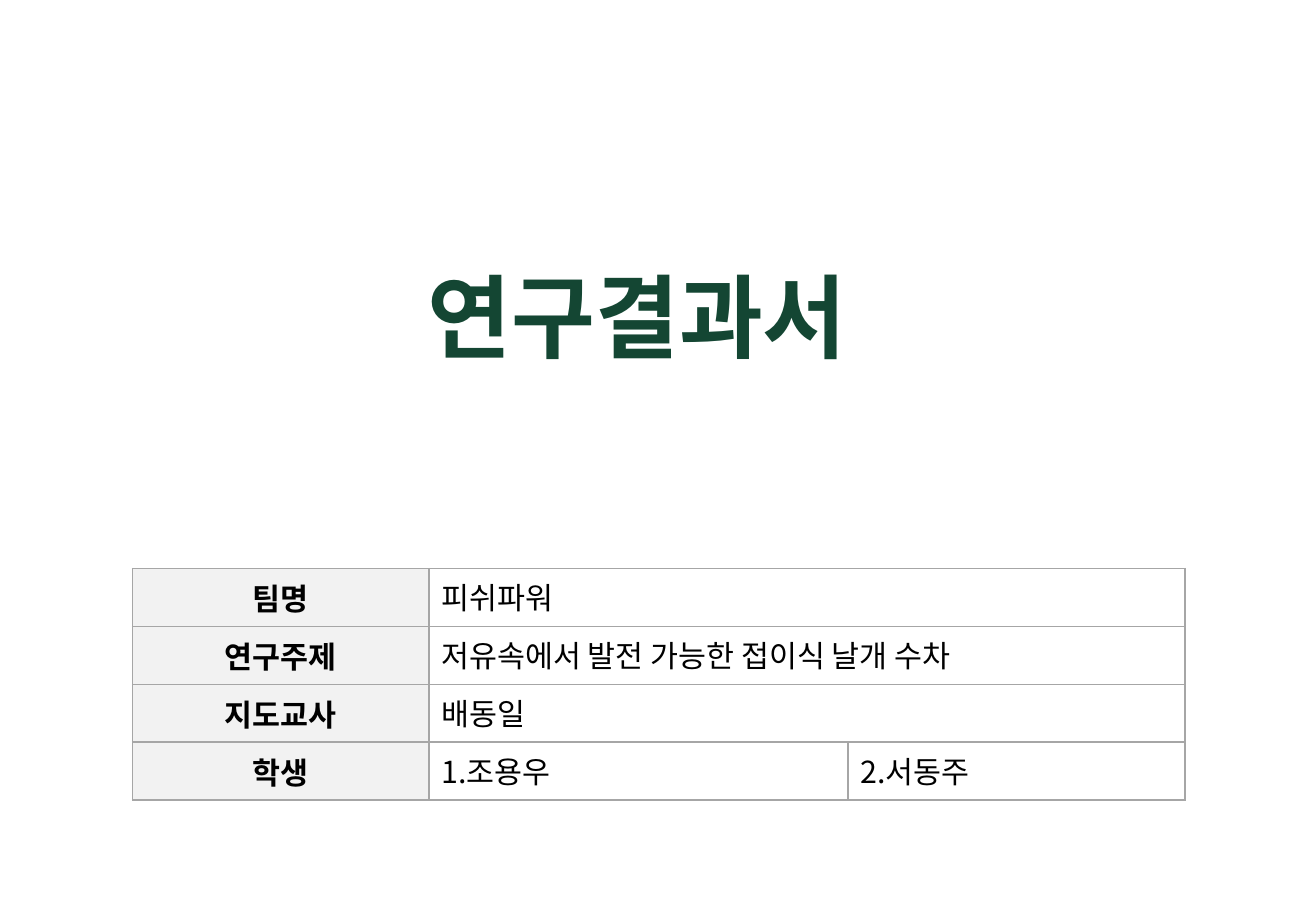
from pptx import Presentation as Deck
from pptx.dml.color import RGBColor as RGB
from pptx.enum.text import MSO_ANCHOR as Anchor, MSO_AUTO_SIZE as Auto, PP_ALIGN as Align
from pptx.oxml import parse_xml
from pptx.oxml.ns import nsdecls
from pptx.util import Cm, Pt

FACE = "Noto Sans CJK KR"
TITLE = {"size": Pt(54), "bold": True}
LABEL = {"size": Pt(18), "bold": True}
VALUE = {"size": Pt(18), "bold": False}
WIDTHS = [6.2, 8.76, 7.04]
ROWS = [
    ["팀명", "피쉬파워"],
    ["연구주제", "저유속에서 발전 가능한 접이식 날개 수차"],
    ["지도교사", "배동일"],
    ["학생", "1.조용우", "2.서동주"],
]


def color(code):
    return RGB.from_string(code)


def write(frame, text, style, code, align=Align.LEFT):
    para = frame.paragraphs[0]
    para.alignment = align
    run = para.add_run()
    run.text = text
    for key, value in style.items():
        setattr(run.font, key, value)
    run.font.color.rgb = color(code)
    run.font.name = FACE
    run.font._element.append(
        parse_xml(f'<a:ea {nsdecls("a")} typeface="{FACE}"/>'))


def border(cell, code, width):
    props = cell._tc.get_or_add_tcPr()
    for spot, side in enumerate(["L", "R", "T", "B"]):
        props.insert(spot, parse_xml(
            f'<a:ln{side} {nsdecls("a")} w="{Pt(width)}"><a:solidFill>'
            f'<a:srgbClr val="{code}"/></a:solidFill></a:ln{side}>'))


def add_title(slide, left, top, width, height):
    box = slide.shapes.add_textbox(Cm(left), Cm(top), Cm(width), Cm(height))
    box.text_frame.word_wrap = False
    box.text_frame.auto_size = Auto.SHAPE_TO_FIT_TEXT
    write(box.text_frame, "연구결과서", TITLE, "144633")


def add_info(slide, left, top, height):
    count = len(ROWS)
    table = slide.shapes.add_table(
        count, len(WIDTHS), Cm(left), Cm(top), Cm(sum(WIDTHS)), Cm(height)).table
    for col, width in zip(table.columns, WIDTHS):
        col.width = Cm(width)
    for r, texts in enumerate(ROWS):
        table.rows[r].height = Cm(height / count)
        for c in range(len(WIDTHS)):
            cell = table.cell(r, c)
            cell.fill.solid()
            cell.fill.fore_color.rgb = color("FFFFFF" if c else "F2F2F2")
            border(cell, "A6A6A6", 1)
        if len(texts) < len(WIDTHS):
            table.cell(r, 1).merge(table.cell(r, 2))
        for c, text in enumerate(texts):
            cell = table.cell(r, c)
            cell.vertical_anchor = Anchor.TOP if c else Anchor.MIDDLE
            write(cell.text_frame, text, VALUE if c else LABEL, "000000",
                  Align.LEFT if c else Align.CENTER)


def main():
    deck = Deck()
    deck.slide_width, deck.slide_height = Cm(27.51), Cm(19.05)
    slide = deck.slides.add_slide(deck.slide_layouts[6])
    add_title(slide, 8.69, 5.33, 10.13, 2.57)
    add_info(slide, 2.77, 11.89, 4.84)
    deck.save("out.pptx")


if __name__ == "__main__":
    main()
